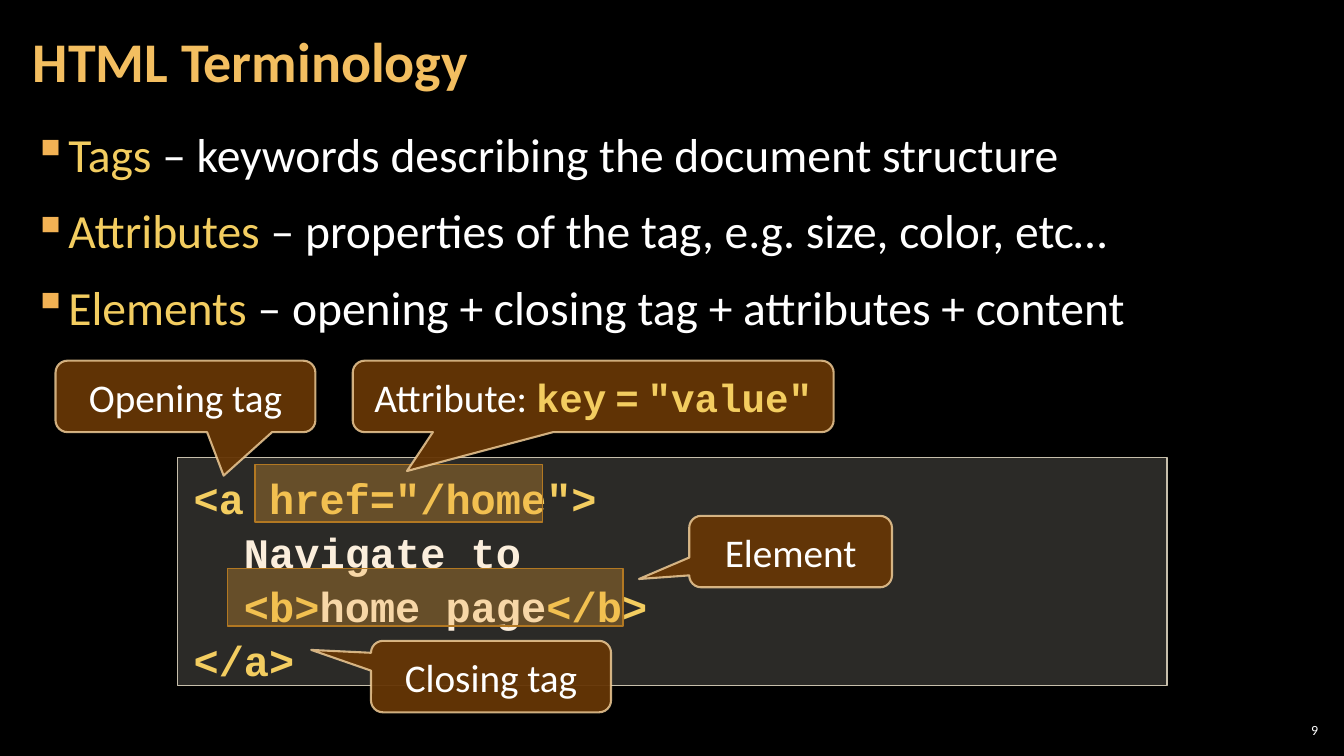
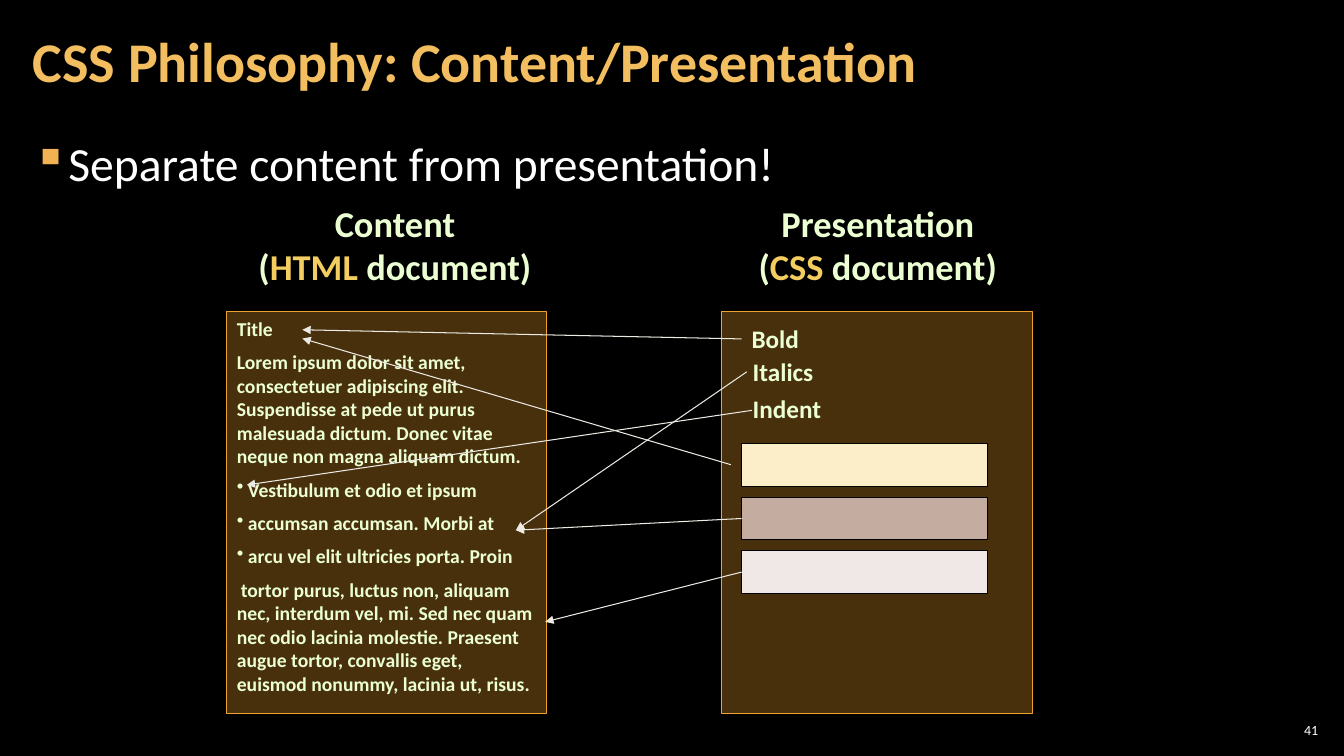
from lxml import etree
from pptx import Presentation
from pptx import util as u
from pptx.dml.color import RGBColor
from pptx.enum import shapes, text
from pptx.oxml.ns import qn

COLORS = {
    "background": "000000", "title": "F3BE60", "white": "FFFFFF",
    "gold": "F3CD60", "bullet": "F2B254", "cream": "FBEEDC", "lime": "EBFFD2",
    "code_fill": "D9D5C7", "code_line": "C7BFAC",
    "amber": "F0A22E", "amber_dark": "B27822",
    "callout_fill": "663606", "callout_line": "F8D49E",
    "arrow": "ECEAE3", "black": "000000",
    "swatch_cream": "FBEEC9", "swatch_brown": "C4ADA0", "swatch_pale": "F0E8E6",
}
GOLD = {"color": "gold"}
CREAM = {"color": "cream"}
KEY = {"color": "gold", "font": "Courier New", "bold": True}

TERMS = [
    [("Tags ", GOLD), "– keywords describing the document structure"],
    [("Attributes ", GOLD), "– properties of the tag, e.g. size, color, etc…"],
    [("Elements ", GOLD), "– opening + closing tag + attributes + content"],
]
CODE = [
    ['<a href="/home">'],
    ["  ", ("Navigate to", CREAM)],
    ["  <b>", ("home page", CREAM), "</b>"],
    ["</a>"],
]
CODE_BOX = (4.47, 11.53, 24.94, 5.74)
HIGHLIGHTS = [(6.43, 11.71, 7.24, 1.45), (5.74, 14.33, 9.96, 1.45)]
CALLOUT_HEIGHT = 1.8
CALLOUTS = [
    (["Opening tag"], 1.4, 9.09, 6.55, (0.147, 1.109)),
    (["Attribute: ", ("key", KEY), " ", ("=", KEY), " ", ('"value"', KEY)],
     8.89, 9.09, 12.12, (-0.387, 1.044)),
    (["Element"], 17.37, 13, 5.11, (-0.748, 0.384)),
    (["Closing tag"], 9.35, 16.15, 6.05, (-0.749, -0.373)),
]

PHILOSOPHY = [["Separate content from presentation!"]]
HEADINGS = [
    ("Content", "HTML", 6.22, 7.47),
    ("Presentation", "CSS", 18.8, 6.65),
]
DOCUMENT = [
    (["Title"], {}),
    (["Lorem ipsum dolor sit amet, consectetuer adipiscing elit. Suspendisse at pede ut purus "
      "malesuada dictum. Donec vitae neque non magna aliquam dictum."], {}),
    (["Vestibulum et odio et ipsum"], {"bullet": "•"}),
    (["accumsan accumsan. Morbi at"], {"bullet": "•"}),
    (["arcu vel elit ultricies porta. Proin"], {"bullet": "•"}),
    (["tortor purus, luctus non, aliquam nec, interdum vel, mi. Sed nec quam nec odio lacinia "
      "molestie. Praesent augue tortor, convallis eget, euismod nonummy, lacinia ut, risus."],
     {"indent": 0.1}),
]
PANEL_TOP, PANEL_HEIGHT = 7.85, 10.13
CONTENT_PANEL = (5.72, PANEL_TOP, 8.05, PANEL_HEIGHT)
STYLE_PANEL = (18.19, PANEL_TOP, 7.82, PANEL_HEIGHT)
LABELS = [("Bold", 18.69, 8.03, 1.73), ("Italics", 18.72, 8.86, 2.06), ("Indent", 18.72, 9.78, 2.26)]
SWATCHES = ["swatch_cream", "swatch_brown", "swatch_pale"]
SWATCH_LEFT, SWATCH_TOP, SWATCH_WIDTH, SWATCH_HEIGHT, SWATCH_STEP = 18.69, 11.18, 6.2, 1.07, 1.35
ARROWS = [
    ("Bold", (18.69, 8.54), (7.62, 8.31)),
    (None, (18.82, 9.37), (13, 13.36)),
    (None, (18.95, 10.34), (6.22, 12.22)),
    ("swatch_brown", (18.69, 13.07), (13, 13.36)),
    ("swatch_pale", (18.69, 14.42), (13.74, 15.67)),
    (None, (18.42, 11.71), (7.62, 8.53)),
]


def rgb(name):
    return RGBColor.from_string(COLORS[name])


def cm(*lengths):
    return [u.Cm(length) for length in lengths]


def set_alpha(properties, percent):
    color = properties.find(qn("a:solidFill"))[0]
    etree.SubElement(color, qn("a:alpha"), val=str(percent * 1000))


def add_bullet(properties, character, color):
    bullet_color = etree.SubElement(properties, qn("a:buClr"))
    etree.SubElement(bullet_color, qn("a:srgbClr"), val=COLORS[color])
    etree.SubElement(properties, qn("a:buChar"), char=character)


def write_text(shape, paragraphs, size=18, font="Calibri", color="white", bold=False,
               align="LEFT", anchor="TOP", insets=(0.25, 0.13), wrap=True, spacing=None,
               before=0, after=0, bullet=None, bullet_color="bullet", hanging=0.84):
    frame = shape.text_frame
    frame.word_wrap = wrap
    frame.vertical_anchor = text.MSO_ANCHOR[anchor]
    frame.margin_left = frame.margin_right = u.Cm(insets[0])
    frame.margin_top = frame.margin_bottom = u.Cm(insets[1])
    for index, item in enumerate(paragraphs):
        runs, layout = item if isinstance(item, tuple) else (item, {})
        paragraph = frame.add_paragraph() if index else frame.paragraphs[0]
        properties = paragraph._p.get_or_add_pPr()
        character = layout.get("bullet", bullet)
        indent = layout.get("indent", 0)
        if character:
            properties.set("marL", str(u.Cm(hanging)))
            indent = -hanging
            add_bullet(properties, character, bullet_color)
        properties.set("indent", str(u.Cm(indent)))
        paragraph.alignment = text.PP_ALIGN[align]
        paragraph.space_before = u.Pt(before if index else 0)
        paragraph.space_after = u.Pt(after)
        if spacing:
            paragraph.line_spacing = spacing
        for part in runs:
            content, change = part if isinstance(part, tuple) else (part, {})
            run = paragraph.add_run()
            run.text = content
            run.font.size = u.Pt(size)
            run.font.name = change.get("font", font)
            run.font.bold = change.get("bold", bold)
            run.font.color.rgb = rgb(change.get("color", color))


def add_text(slide, box, paragraphs, **style):
    shape = slide.shapes.add_textbox(*cm(*box))
    write_text(shape, paragraphs, **style)
    return shape


def add_box(slide, box, fill, line, alpha=100, width=0.75, kind="RECTANGLE"):
    shape = slide.shapes.add_shape(shapes.MSO_SHAPE[kind], *cm(*box))
    shape.shadow.inherit = False
    shape.fill.solid()
    shape.fill.fore_color.rgb = rgb(fill)
    shape.line.color.rgb = rgb(line)
    shape.line.width = u.Pt(width)
    if alpha < 100:
        set_alpha(shape._element.spPr, alpha)
    return shape


def add_callout(slide, runs, left, top, width, pointer):
    shape = add_box(slide, (left, top, width, CALLOUT_HEIGHT), "callout_fill", "callout_line",
                    95, 1.5, "ROUNDED_RECTANGULAR_CALLOUT")
    set_alpha(shape.line._get_or_add_ln(), 80)
    for index, value in enumerate((*pointer, 0.167)):
        shape.adjustments[index] = value
    write_text(shape, [runs], size=28, align="CENTER", anchor="MIDDLE")


def add_arrow(slide, start, end, source=None):
    connector = slide.shapes.add_connector(shapes.MSO_CONNECTOR.STRAIGHT, *cm(*start, *end))
    if source is not None:
        connector.begin_connect(source, 1)
    connector.line.color.rgb = rgb("arrow")
    connector.line.width = u.Pt(0.75)
    etree.SubElement(connector.line._get_or_add_ln(), qn("a:tailEnd"), type="triangle")
    etree.SubElement(connector._element.spPr, qn("a:effectLst"))


def add_slide(presentation, title, number, bullets, body_top):
    slide = presentation.slides.add_slide(presentation.slide_layouts[6])
    add_text(slide, (0.53, 0.1, 26.59, 3.07), [[title]], size=40, color="title", bold=True,
             anchor="MIDDLE", insets=(0.3, 0.1), spacing=0.9)
    add_text(slide, (0.53, body_top, 32.79, 18.65 - body_top), bullets, size=34,
             insets=(0.3, 0.1), spacing=1.05, before=6, after=6, bullet="▪")
    add_text(slide, (32.13, 18.14, 1.19, 0.53), [[number]], size=10, align="RIGHT",
             anchor="MIDDLE", insets=(0.1, 0.1))
    return slide


def build_terminology(presentation):
    slide = add_slide(presentation, "HTML Terminology", "9", TERMS, 2.97)
    code = add_box(slide, CODE_BOX, "code_fill", "code_line", 20, 1)
    write_text(code, CODE, size=30, font="Courier New", color="gold", bold=True,
               insets=(0.41, 0.3), spacing=1.07)
    for box in HIGHLIGHTS:
        add_box(slide, box, "amber", "amber_dark", 30, 1)
    for callout in CALLOUTS:
        add_callout(slide, *callout)


def build_philosophy(presentation):
    slide = add_slide(presentation, "CSS Philosophy: Content/Presentation", "41", PHILOSOPHY, 3.2)
    label_style = {"color": "lime", "bold": True}
    document = add_box(slide, CONTENT_PANEL, "amber", "amber", 30)
    write_text(document, DOCUMENT, size=14, before=7, bullet_color="lime", hanging=0.28,
               **label_style)
    add_box(slide, STYLE_PANEL, "amber", "amber", 30)
    for heading, language, left, width in HEADINGS:
        add_text(slide, (left, 4.93, width, 2.49),
                 [[heading], ["(", (language, GOLD), " document)"]],
                 size=26, align="CENTER", wrap=False, **label_style)
    sources = {}
    for index, color in enumerate(SWATCHES):
        box = (SWATCH_LEFT, SWATCH_TOP + index * SWATCH_STEP, SWATCH_WIDTH, SWATCH_HEIGHT)
        sources[color] = add_box(slide, box, color, "black")
    for label, left, top, width in LABELS:
        sources[label] = add_text(slide, (left, top, width, 1.02), [[label]], wrap=False,
                                  **label_style)
    for source, start, end in ARROWS:
        add_arrow(slide, start, end, sources.get(source))


def main():
    presentation = Presentation()
    presentation.slide_width, presentation.slide_height = cm(33.87, 19.05)
    background = presentation.slide_master.background.fill
    background.solid()
    background.fore_color.rgb = rgb("background")
    build_terminology(presentation)
    build_philosophy(presentation)
    presentation.save("out.pptx")


if __name__ == "__main__":
    main()
